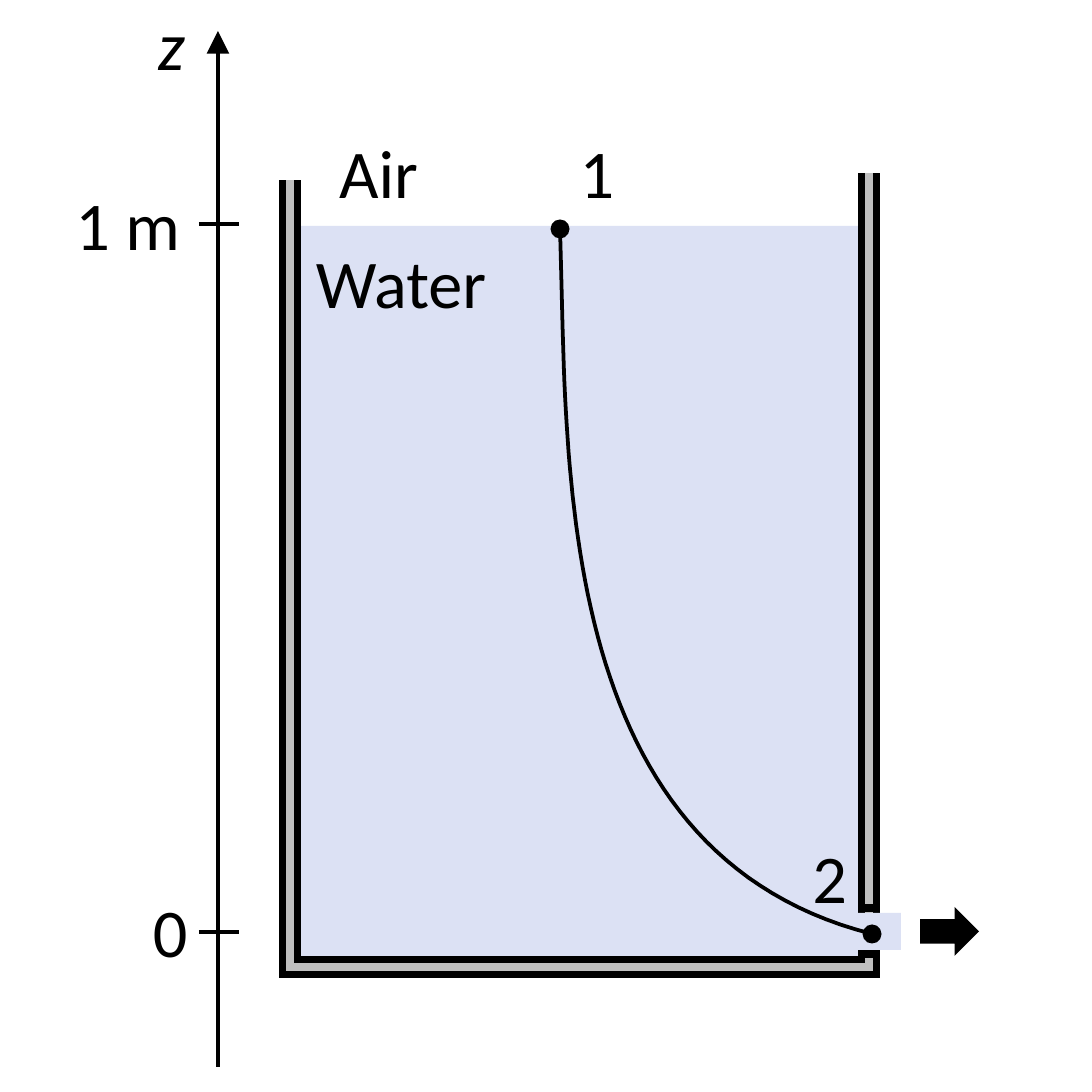
import pptx
import pptx.util
import pptx.dml.color
import pptx.enum.shapes
import pptx.enum.text
import pptx.oxml.ns
import lxml.etree

SIDE = 1092
SCALE = 914400 / 273
BLACK, WATER, GRAY = "000000", "DCE1F4", "BFBFBF"
KIND = pptx.enum.shapes.MSO_SHAPE
ALIGN = pptx.enum.text.PP_ALIGN

LABELS = [
    ("0", 126, 876, 90, ALIGN.LEFT, False),
    ("z", 131, -11, 85, ALIGN.LEFT, True),
    ("1 m", 46, 169, 161, ALIGN.RIGHT, False),
    ("Air", 298, 117, 147, ALIGN.RIGHT, False),
    ("Water", 284, 227, 229, ALIGN.RIGHT, False),
    ("1", 551, 117, 90, ALIGN.RIGHT, False),
    ("2", 784, 822, 90, ALIGN.RIGHT, False),
]
LABEL_HEIGHT = 110
LABEL_FONT = {"name": "Calibri", "size": pptx.util.Pt(18)}
LABEL_FRAME = {"word_wrap": False, "auto_size": pptx.enum.text.MSO_AUTO_SIZE.SHAPE_TO_FIT_TEXT}

WATER_BODY = (290, 226, 586, 741)
OUTLET = (852, 913, 49, 37)
FLOW_ARROW = (920, 907, 59, 49)
TANK_WALL = [(290, 180), (290, 967), (869, 967), (869, 173)]
WALL_LAYERS = [(BLACK, 6), (GRAY, 2.25)]
LIP_HEIGHTS = [908, 954]
TICK_HEIGHTS = [224, 932]
STREAMLINE = [(560, 227), (568, 459), (549, 852), (872, 934)]
STREAMLINE_STEPS = 60
POINT_CENTERS = [(560, 229), (872, 934)]
POINT_SIZE = 19


def emu(pixels):
    return pptx.util.Emu(round(pixels * SCALE))


def color(value):
    return pptx.dml.color.RGBColor.from_string(value)


def set_values(target, values):
    for name, value in values.items():
        setattr(target, name, value)


def set_line(shape, value, width):
    shape.line.color.rgb = color(value)
    shape.line.width = pptx.util.Pt(width)


def add_filled(kind, box, value):
    shape = slide.shapes.add_shape(kind, *map(emu, box))
    shape.shadow.inherit = False
    shape.fill.solid()
    shape.fill.fore_color.rgb = color(value)
    shape.line.fill.background()


def add_line(start, end, width, arrow=False):
    connector = slide.shapes.add_connector(
        pptx.enum.shapes.MSO_CONNECTOR.STRAIGHT, *map(emu, start + end))
    set_line(connector, BLACK, width)
    if arrow:
        tail = lxml.etree.SubElement(connector.line._get_or_add_ln(), pptx.oxml.ns.qn("a:tailEnd"))
        tail.set("type", "triangle")
    lxml.etree.SubElement(connector._element.spPr, pptx.oxml.ns.qn("a:effectLst"))


def add_open_path(points, value, width):
    corners = [(emu(x), emu(y)) for x, y in points]
    builder = slide.shapes.build_freeform(*corners[0])
    builder.add_line_segments(corners[1:], close=False)
    shape = builder.convert_to_shape()
    shape.shadow.inherit = False
    shape.fill.background()
    set_line(shape, value, width)
    miter = lxml.etree.SubElement(shape.line._get_or_add_ln(), pptx.oxml.ns.qn("a:miter"))
    miter.set("lim", "800000")


def bezier(controls, t):
    weights = ((1 - t) ** 3, 3 * t * (1 - t) ** 2, 3 * t ** 2 * (1 - t), t ** 3)
    return tuple(sum(w * point[axis] for w, point in zip(weights, controls)) for axis in (0, 1))


def add_label(text, left, top, width, alignment, italic):
    box = slide.shapes.add_textbox(*map(emu, (left, top, width, LABEL_HEIGHT)))
    set_values(box.text_frame, LABEL_FRAME)
    paragraph = box.text_frame.paragraphs[0]
    paragraph.alignment = alignment
    run = paragraph.add_run()
    run.text = text
    set_values(run.font, {**LABEL_FONT, "italic": italic})
    run.font.color.rgb = color(BLACK)


presentation = pptx.Presentation()
set_values(presentation, {"slide_width": emu(SIDE), "slide_height": emu(SIDE)})
slide = presentation.slides.add_slide(presentation.slide_layouts[6])

add_line((218, 1067), (218, 31), 1, arrow=True)
add_filled(KIND.RECTANGLE, WATER_BODY, WATER)
for value, width in WALL_LAYERS:
    add_open_path(TANK_WALL, value, width)
add_filled(KIND.RECTANGLE, OUTLET, WATER)
for height in LIP_HEIGHTS:
    add_line((860, height), (877, height), 2.25)
for height in TICK_HEIGHTS:
    add_line((199, height), (239, height), 1)
for x, y in POINT_CENTERS:
    add_filled(KIND.OVAL, (x - POINT_SIZE / 2, y - POINT_SIZE / 2, POINT_SIZE, POINT_SIZE), BLACK)
add_filled(KIND.RIGHT_ARROW, FLOW_ARROW, BLACK)
add_open_path([bezier(STREAMLINE, step / STREAMLINE_STEPS) for step in range(STREAMLINE_STEPS + 1)],
              BLACK, 1)
for label in LABELS:
    add_label(*label)

presentation.save("out.pptx")
